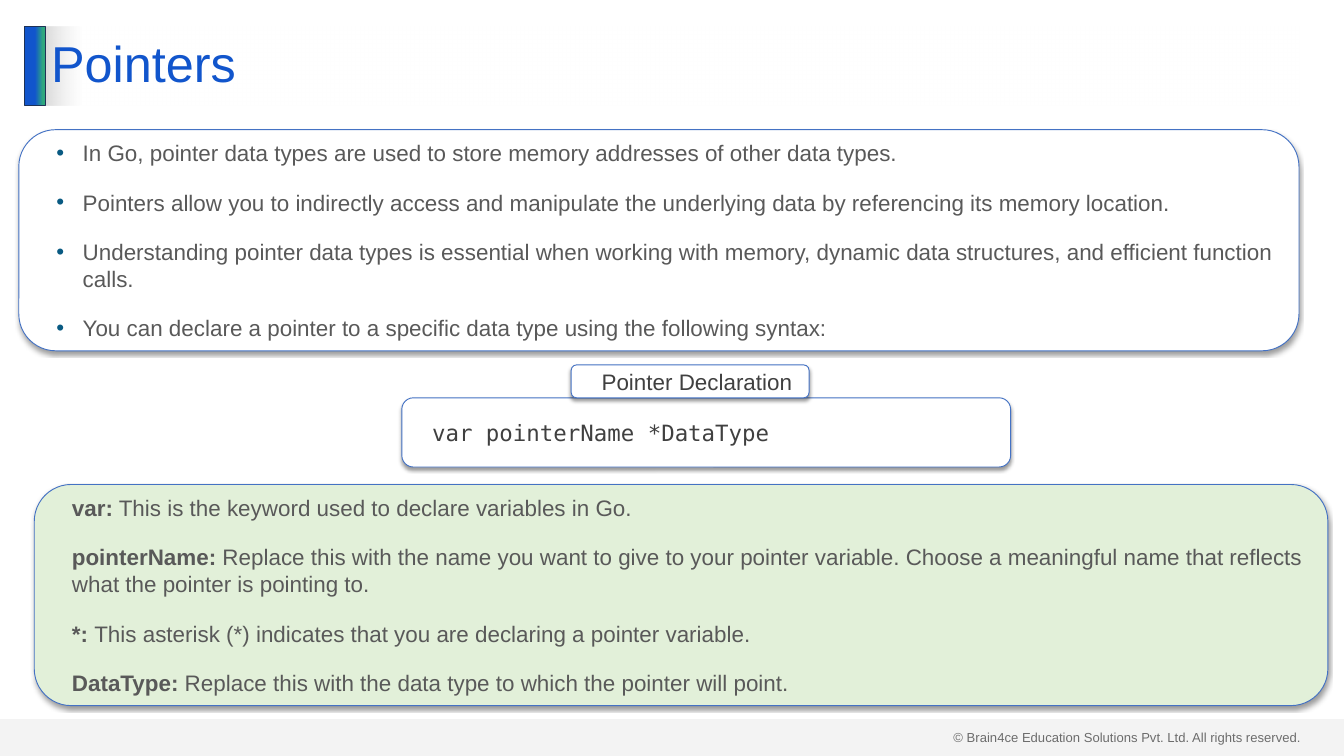
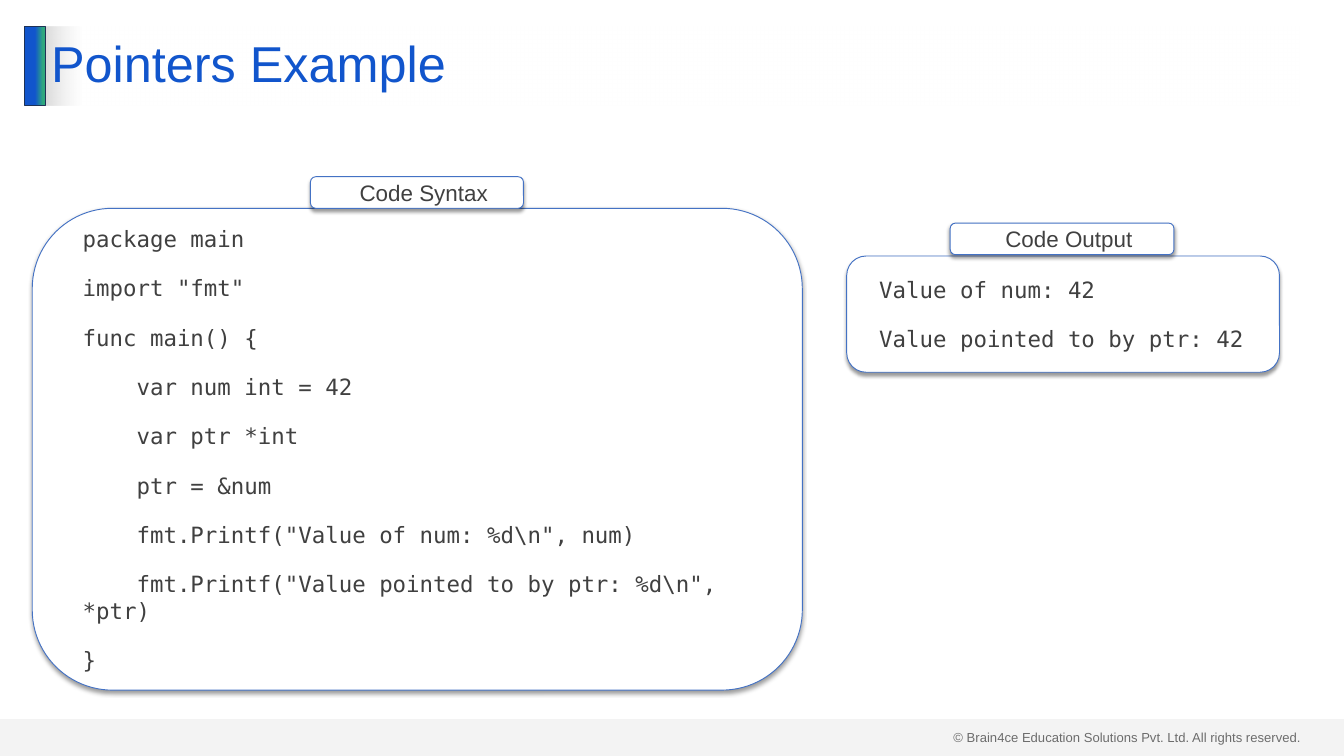
"""Build two slides that introduce pointers in Go."""
from dataclasses import dataclass

from lxml.etree import SubElement
from pptx import Presentation
from pptx.dml.color import RGBColor
from pptx.enum.shapes import MSO_SHAPE as Preset
from pptx.enum.text import MSO_ANCHOR as Anchor, MSO_AUTO_SIZE as AutoSize, PP_ALIGN as Align
from pptx.oxml import parse_xml
from pptx.oxml.ns import nsdecls, qn
from pptx.util import Pt

PX = 9144
TITLE_AND_BODY, TITLE_ONLY = 1, 5
FOOTER = "© Brain4ce Education Solutions Pvt. Ltd. All rights reserved."


@dataclass(frozen=True)
class Theme:
    """Colours, typefaces and type sizes."""
    blue: str = "1155CC"
    green: str = "2EA87D"
    navy: str = "1E3256"
    outline: str = "4472C4"
    bullet: str = "095A82"
    gray: str = "D9D9D9"
    white: str = "FFFFFF"
    mint: str = "E2F0D9"
    prose: str = "595959"
    dark: str = "404040"
    sans: str = "Arial"
    mono: str = "DejaVu Sans Mono"
    title_size: int = 54
    text_size: int = 24
    footer_size: int = 14
    gap: int = 24


def rgb(value):
    """Turn a hex string into a colour."""
    return RGBColor.from_string(value)


def set_alpha(colour, percent):
    """Give a colour element an opacity."""
    SubElement(colour, qn("a:alpha"), val=str(percent * 1000))


def set_gradient(shape, *stops):
    """Fill a shape from left to right between two (position, colour) stops."""
    shape.fill.gradient()
    shape.fill.gradient_angle = 0
    for stop, (position, colour) in zip(shape.fill.gradient_stops, stops):
        stop.position = position
        stop.color.rgb = rgb(colour)


def place(shape, box):
    """Move a shape to a (left, top, width, height) box in px."""
    shape.left, shape.top, shape.width, shape.height = (length * PX for length in box)


class Deck:
    """Holds the style and the current slide."""

    def __init__(self, theme):
        """Open an empty presentation of 2000 by 1125 px."""
        self.theme = theme
        self.file = Presentation()
        self.file.slide_width, self.file.slide_height = 2000 * PX, 1125 * PX
        self.slide = None

    def start(self, heading, layout):
        """Add a slide with its footer, accent and title."""
        self.slide = self.file.slides.add_slide(self.file.slide_layouts[layout])
        self.footer()
        self.accent()
        self.title(heading)

    def preset(self, kind, box):
        """Add a preset shape without a shadow."""
        shape = self.slide.shapes.add_shape(kind, *(length * PX for length in box))
        shape.shadow.inherit = False
        return shape

    def font(self, paragraph, size, colour, face):
        """Set the font of a whole paragraph."""
        paragraph.font.size = Pt(size)
        paragraph.font.name = face
        paragraph.font.color.rgb = rgb(colour)

    def footer(self):
        """Add the copyright line under a translucent band."""
        notice = self.slide.shapes.add_textbox(*(length * PX for length in (1409, 1080, 541, 34)))
        paragraph = notice.text_frame.paragraphs[0]
        paragraph.text = FOOTER
        self.font(paragraph, self.theme.footer_size, self.theme.dark, self.theme.sans)
        band = self.preset(Preset.RECTANGLE, (0, 1070, 2000, 55))
        band.fill.solid()
        band.fill.fore_color.rgb = rgb(self.theme.gray)
        set_alpha(band._element.spPr.find(".//" + qn("a:srgbClr")), 29)
        band.line.fill.background()

    def accent(self):
        """Add the bar to the left of the title."""
        bar = self.preset(Preset.RECTANGLE, (37, 39, 30, 118))
        set_gradient(bar, (0.51, self.theme.blue), (0.9, self.theme.green))
        bar.line.color.rgb = rgb(self.theme.navy)
        bar.line.width = Pt(1)

    def title(self, heading):
        """Fill the title placeholder."""
        title = self.slide.shapes.title
        place(title, (66, 39, 1867, 118))
        set_gradient(title, (0, self.theme.gray), (0.03, self.theme.white))
        set_alpha(title._element.spPr.findall(".//" + qn("a:srgbClr"))[-1], 50)
        frame = title.text_frame
        frame.text = heading
        frame.auto_size = AutoSize.NONE
        frame.vertical_anchor = Anchor.MIDDLE
        paragraph = frame.paragraphs[0]
        paragraph.alignment = Align.LEFT
        paragraph.line_spacing = 0.9
        self.font(paragraph, self.theme.title_size, self.theme.blue, self.theme.sans)

    def dress(self, panel, fill):
        """Give a panel its fill, outline, shadow and text margins."""
        panel.fill.solid()
        panel.fill.fore_color.rgb = rgb(fill)
        panel.line.color.rgb = rgb(self.theme.outline)
        panel.line.width = Pt(1)
        panel.shadow.inherit = False
        effects = panel._element.spPr.find(qn("a:effectLst"))
        shadow = SubElement(effects, qn("a:outerShdw"), blurRad="50800", dist="38100",
                            dir="5400000", algn="t", rotWithShape="0")
        set_alpha(SubElement(shadow, qn("a:srgbClr"), val="000000"), 40)
        frame = panel.text_frame
        frame.word_wrap = True
        frame.auto_size = AutoSize.NONE
        frame.vertical_anchor = Anchor.MIDDLE
        frame.margin_left = frame.margin_right = 20 * PX
        frame.margin_top = frame.margin_bottom = 10 * PX

    def add_lines(self, panel, lines, colour, face, align=Align.LEFT, bullets=False):
        """Fill a panel with lines, each a string or a (term, meaning) pair."""
        frame = panel.text_frame
        for index, line in enumerate(lines):
            paragraph = frame.add_paragraph() if index else frame.paragraphs[0]
            if isinstance(line, str):
                paragraph.add_run().text = line
            else:
                for text, bold in zip(line, (True, False)):
                    run = paragraph.add_run()
                    run.text, run.font.bold = text, bold
            margin, indent = (59, -39) if bullets else (20, 0)
            properties = paragraph._p.get_or_add_pPr()
            properties.set("marL", str(margin * PX))
            properties.set("indent", str(indent * PX))
            if bullets:
                tint = SubElement(properties, qn("a:buClr"))
                SubElement(tint, qn("a:srgbClr"), val=self.theme.bullet)
                SubElement(properties, qn("a:buFont"), typeface=self.theme.sans)
                SubElement(properties, qn("a:buChar"), char="•")
            paragraph.alignment = align
            paragraph.space_before = Pt(self.theme.gap if index else 0)
            paragraph.space_after = Pt(0)
            self.font(paragraph, self.theme.text_size, colour, face)

    def panel(self, box, lines, fill, colour, face, align=Align.LEFT):
        """Add a rounded panel of text."""
        panel = self.preset(Preset.ROUNDED_RECTANGLE, box)
        self.dress(panel, fill)
        self.add_lines(panel, lines, colour, face, align)

    def bullets(self, box, points):
        """Turn the body placeholder into a rounded panel of bullets."""
        body = self.slide.placeholders[1]
        place(body, box)
        outline = f'<a:prstGeom {nsdecls("a")} prst="roundRect"><a:avLst/></a:prstGeom>'
        body._element.spPr.insert(1, parse_xml(outline))
        self.dress(body, self.theme.white)
        self.add_lines(body, points, self.theme.prose, self.theme.sans, bullets=True)

    def terms(self, box, pairs):
        """Add a tinted panel that explains terms."""
        self.panel(box, pairs, self.theme.mint, self.theme.prose, self.theme.sans)

    def code(self, box, lines, tab, heading):
        """Add a code panel with a heading tab on top."""
        theme = self.theme
        self.panel(box, lines, theme.white, theme.dark, theme.mono)
        self.panel(tab, [heading], theme.white, theme.dark, theme.sans, Align.CENTER)


def pointers(deck):
    """Explain what pointers are and how to declare them."""
    deck.start("Pointers", TITLE_AND_BODY)
    deck.bullets((28, 193, 1905, 329), [
        "In Go, pointer data types are used to store memory addresses of other data types.",
        "Pointers allow you to indirectly access and manipulate the underlying data by "
        "referencing its memory location.",
        "Understanding pointer data types is essential when working with memory, dynamic data "
        "structures, and efficient function calls.",
        "You can declare a pointer to a specific data type using the following syntax:",
    ])
    deck.code((598, 592, 906, 103), ["var pointerName *DataType"],
              (850, 543, 354, 49), "Pointer Declaration")
    deck.terms((51, 721, 1925, 329), [
        ("var:", " This is the keyword used to declare variables in Go."),
        ("pointerName:", " Replace this with the name you want to give to your pointer variable. "
                         "Choose a meaningful name that reflects what the pointer is pointing to."),
        ("*: ", "This asterisk (*) indicates that you are declaring a pointer variable."),
        ("DataType:", " Replace this with the data type to which the pointer will point."),
    ])


def pointers_example(deck):
    """Show a short program and its output."""
    deck.start("Pointers Example", TITLE_ONLY)
    deck.code((48, 310, 1146, 717), [
        "package main",
        'import "fmt"',
        "func main() {",
        "    var num int = 42",
        "    var ptr *int",
        "    ptr = &num",
        r'    fmt.Printf("Value of num: %d\n", num)',
        r'    fmt.Printf("Value pointed to by ptr: %d\n", *ptr)',
        "}",
    ], (462, 263, 317, 47), "Code Syntax")
    deck.code((1260, 381, 644, 173), ["Value of num: 42", "Value pointed to by ptr: 42"],
              (1414, 332, 333, 47), "Code Output")


def main():
    """Build and save the slides."""
    deck = Deck(Theme())
    pointers(deck)
    pointers_example(deck)
    deck.file.save("out.pptx")


if __name__ == "__main__":
    main()
